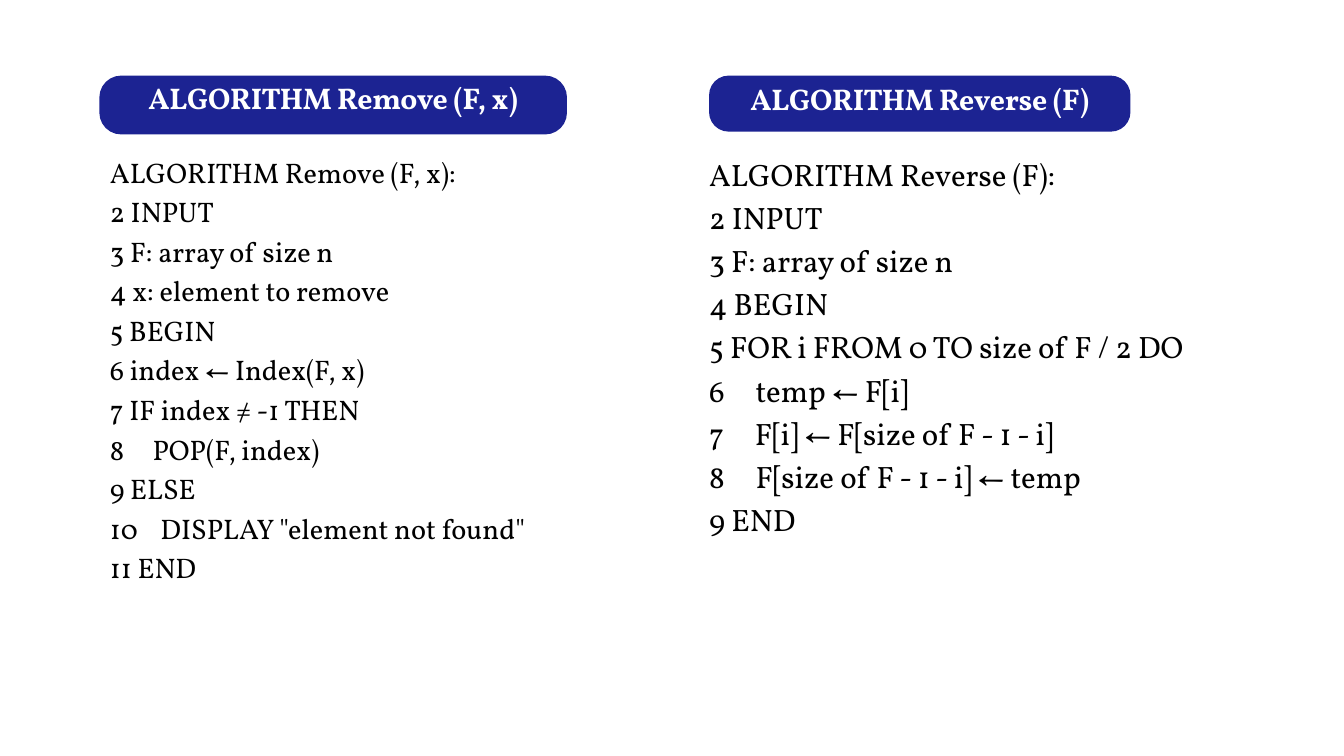
from pptx import Presentation
from pptx.dml.color import RGBColor
from pptx.enum.shapes import MSO_SHAPE
from pptx.enum.text import MSO_ANCHOR, MSO_AUTO_SIZE, PP_ALIGN
from pptx.util import Emu, Pt

REMOVE = """ALGORITHM Remove (F, x):
2 INPUT
3 F: array of size n
4 x: element to remove
5 BEGIN
6 index ← Index(F, x)
7 IF index ≠ -1 THEN
8     POP(F, index)
9 ELSE
10    DISPLAY "element not found"
11 END"""

REVERSE = """ALGORITHM Reverse (F):
2 INPUT
3 F: array of size n
4 BEGIN
5 FOR i FROM 0 TO size of F / 2 DO
6     temp ← F[i]
7     F[i] ← F[size of F - 1 - i]
8     F[size of F - 1 - i] ← temp
9 END"""


def px(*sizes):
    return [Emu(size * 9525) for size in sizes]


def color(code):
    return RGBColor.from_string(code)


def apply(target, values):
    for name, value in values.items():
        setattr(target, name, value)


class Board:
    """Draw styled algorithm parts on the current slide."""

    font = "Vollkorn"
    navy, white, black = "1C2392", "FFFFFF", "000000"
    top = 108

    def __init__(self, deck):
        self.slide = deck.slides.add_slide(deck.slide_layouts[5])
        self.shapes = self.slide.shapes

    def label(self, shape, text, size, lead, ink, pad=0, bold=False,
              align=PP_ALIGN.LEFT, anchor=MSO_ANCHOR.TOP,
              fit=MSO_AUTO_SIZE.SHAPE_TO_FIT_TEXT):
        frame = shape.text_frame
        frame.text = text
        inset = px(pad)[0]
        apply(frame, dict(word_wrap=True, auto_size=fit, vertical_anchor=anchor,
                          margin_left=inset, margin_right=inset,
                          margin_top=inset, margin_bottom=inset))
        for line in frame.paragraphs:
            apply(line, dict(alignment=align, line_spacing=Pt(lead),
                             space_before=Pt(0), space_after=Pt(0)))
            for run in line.runs:
                apply(run.font, dict(name=self.font, size=Pt(size), bold=bold))
                run.font.color.rgb = color(ink)
        return frame

    def pill(self, left, width, height, curve):
        shape = self.shapes.add_shape(MSO_SHAPE.ROUNDED_RECTANGLE,
                                      *px(left, self.top, width, height))
        shape.adjustments[0] = curve
        shape.shadow.inherit = False
        shape.fill.solid()
        shape.fill.fore_color.rgb = color(self.navy)
        shape.line.fill.background()

    def head(self, text, left, width, height, rise, curve, title=False):
        self.pill(left, width, height, curve)
        spot = px(left, self.top - rise, width, height + rise)
        if title:
            box = self.shapes.title
            apply(box, dict(zip(("left", "top", "width", "height"), spot)))
            box.element.getparent().append(box.element)
        else:
            box = self.shapes.add_textbox(*spot)
        frame = self.label(box, text, 32, 44.8, self.white, pad=6, bold=True,
                           align=PP_ALIGN.CENTER, anchor=MSO_ANCHOR.MIDDLE,
                           fit=MSO_AUTO_SIZE.NONE)
        for run in frame.paragraphs[0].runs:
            run.font._element.set("spc", "-30")

    def code(self, text, left, width, height, size, lead):
        box = self.shapes.add_textbox(*px(left, 213, width, height))
        self.label(box, text, size, lead, self.black)


def main():
    deck = Presentation()
    deck.slide_width, deck.slide_height = px(1920, 1080)
    board = Board(deck)
    board.code(REMOVE, 157, 635, 673, 30.3, 42.4)
    board.head("ALGORITHM Remove (F, x)", 142, 668, 84, 29, 0.37, title=True)
    board.code(REVERSE, 1013, 735, 612, 33.1, 46.3)
    board.head("ALGORITHM Reverse (F)", 1013, 602, 80, 23, 0.35)
    deck.save("out.pptx")


if __name__ == "__main__":
    main()
